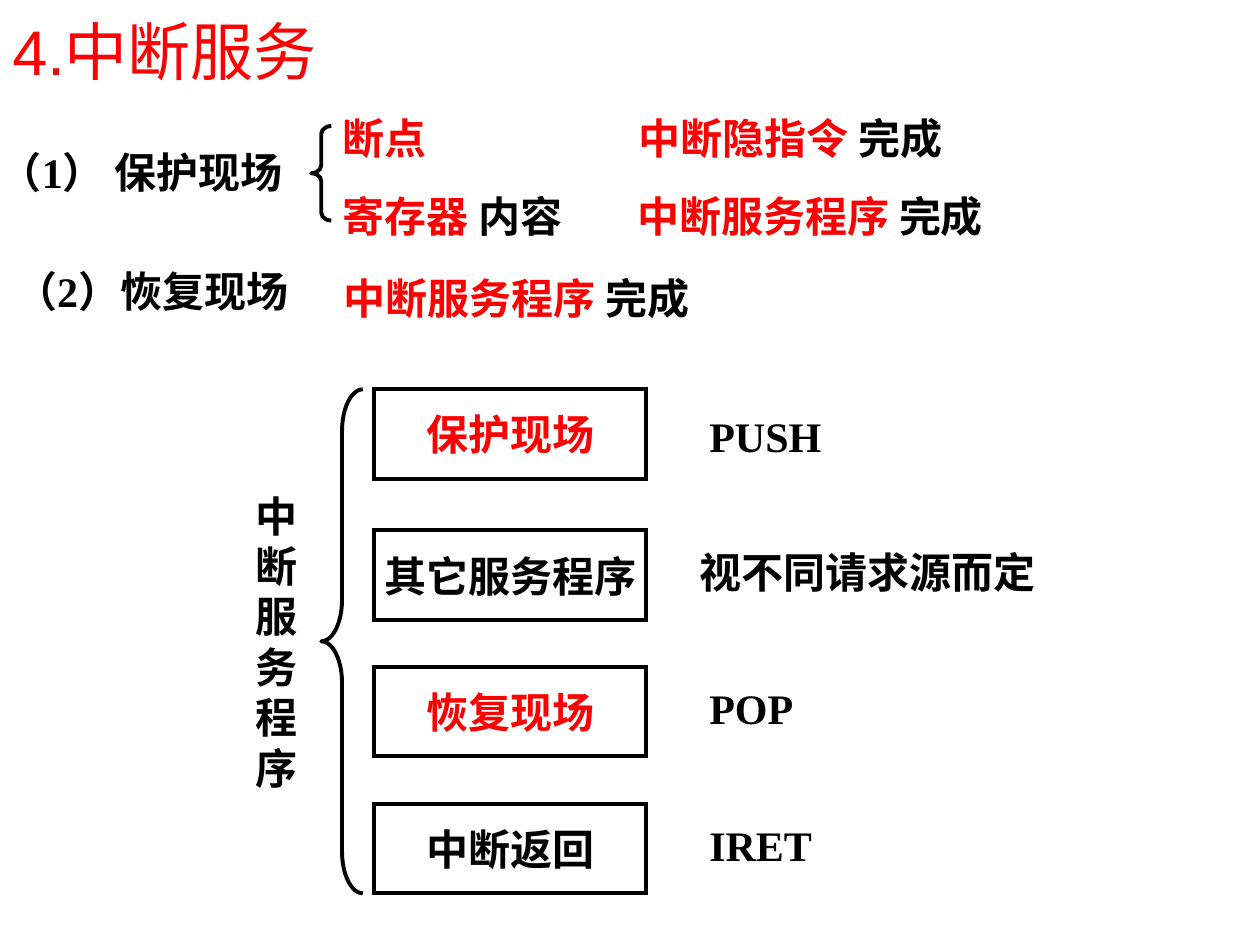
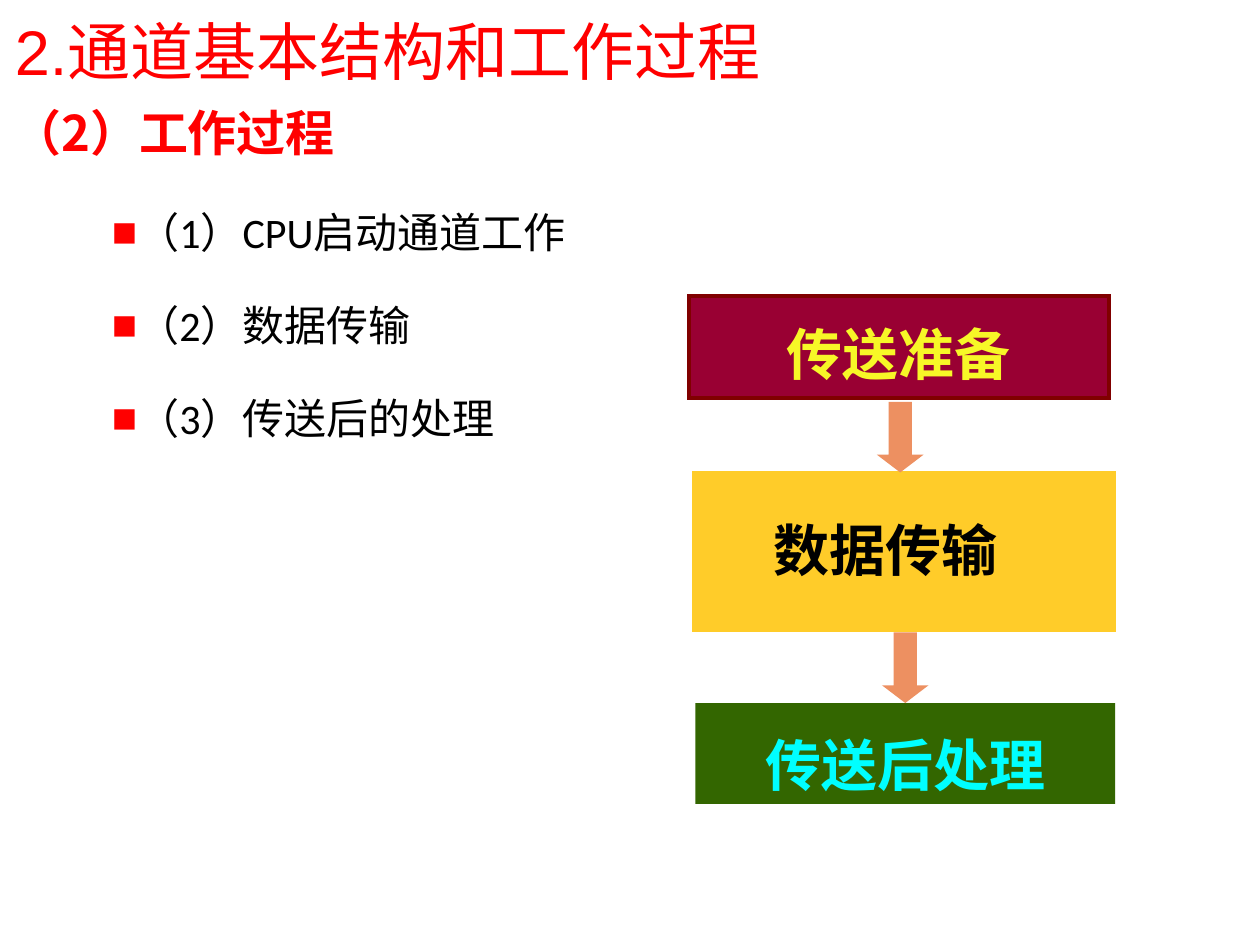
from lxml import etree
from pptx import Presentation
from pptx.dml.color import RGBColor
from pptx.enum.shapes import MSO_SHAPE as Shape
from pptx.enum.text import MSO_ANCHOR as Anchor, PP_ALIGN as Align
from pptx.oxml.ns import qn
from pptx.util import Inches, Pt

# Shared colours, fonts and insets
RED, BLACK = "FF0000", "000000"
SERIF, SANS, BODY, CJK = "Times New Roman", "Arial", "Calibri", "Noto Sans CJK SC"
DEFAULT_INSETS = (0.1, 0.05, 0.1, 0.05)
TIGHT_INSETS = (0, 0.05, 0, 0.05)


def rgb(code):
    return RGBColor.from_string(code)


def style(paragraph, size, face, bold, color=None):
    font = paragraph.font
    font.size, font.name, font.bold = Pt(size), face, bold
    if color:
        font.color.rgb = rgb(color)
    latin = paragraph._p.pPr.find(qn("a:defRPr")).find(qn("a:latin"))
    east_asian = etree.Element(qn("a:ea"), typeface=CJK)
    latin.addnext(east_asian)


def write(shape, lines, size=24, face=SERIF, bold=True, align=Align.LEFT,
          anchor=Anchor.MIDDLE, insets=TIGHT_INSETS, wrap=False,
          spacing=None, prepare=None):
    """Fill a shape; each line is a list of (words, colour) runs."""
    frame = shape.text_frame
    frame.word_wrap, frame.vertical_anchor = wrap, anchor
    (frame.margin_left, frame.margin_top,
     frame.margin_right, frame.margin_bottom) = map(Inches, insets)
    for index, line in enumerate(lines):
        paragraph = frame.add_paragraph() if index else frame.paragraphs[0]
        paragraph.alignment = align
        if spacing:
            paragraph.line_spacing = spacing
        if prepare:
            prepare(paragraph, index)
        colors = {color for _, color in line}
        style(paragraph, size, face, bold, line[0][1] if len(colors) == 1 else None)
        for words, color in line:
            run = paragraph.add_run()
            run.text = words
            if len(colors) > 1:
                run.font.color.rgb = rgb(color)


def add_text(slide, place, *runs, **options):
    box = slide.shapes.add_textbox(*map(Inches, place))
    write(box, [list(runs)], **options)


def add_title(slide, words, left):
    add_text(slide, (left, 0, 9.8, 0.8), (words, RED), size=36, face=SANS,
             bold=False, insets=DEFAULT_INSETS, wrap=True)


def add_figure(slide, kind, place, fill=None, line=None, adjustments=()):
    figure = slide.shapes.add_shape(kind, *map(Inches, place))
    figure.shadow.inherit = False
    if fill:
        figure.fill.solid()
        figure.fill.fore_color.rgb = rgb(fill)
    else:
        figure.fill.background()
    if line:
        figure.line.color.rgb = rgb(line)
        figure.line.width = Pt(2.25)
        if kind == Shape.RECTANGLE:  # square corners
            outline = figure._element.spPr.find(qn("a:ln"))
            etree.SubElement(outline, qn("a:miter"), lim="800000")
    else:
        figure.line.fill.background()
    for index, value in enumerate(adjustments):
        figure.adjustments[index] = value
    return figure


def add_brace(slide, place, curve):
    add_figure(slide, Shape.LEFT_BRACE, place, line=BLACK, adjustments=(curve, 0.5))


def square_bullet(paragraph, index):
    properties = paragraph._p.get_or_add_pPr()
    properties.set("marL", str(Inches(0.38)))
    properties.set("indent", str(Inches(0.29)))
    if index:
        paragraph.space_before = Pt(10)
    color = etree.SubElement(properties, qn("a:buClr"))
    etree.SubElement(color, qn("a:srgbClr"), val=RED)
    etree.SubElement(properties, qn("a:buFont"), typeface=SANS)
    etree.SubElement(properties, qn("a:buChar"), char="■")


def build_interrupt_service(slide):
    add_title(slide, "4.中断服务", 0)

    # Saving and restoring the context
    add_text(slide, (0, 1.07, 2.46, 0.58), ("（1） 保护现场", BLACK))
    add_text(slide, (0.12, 2.02, 2.5, 0.58), ("（2）恢复现场", BLACK))
    add_brace(slide, (2.47, 1, 0.16, 0.75), 0.39)
    add_text(slide, (2.72, 0.84, 1.08, 0.5), ("断点", RED))
    add_text(slide, (2.72, 1.42, 2.17, 0.58), ("寄存器 ", RED), ("内容", BLACK))

    # Who does each part
    done = ("完成", BLACK)
    add_text(slide, (5.07, 0.84, 3.48, 0.5), ("中断隐指令 ", RED), done)
    add_text(slide, (5.06, 1.42, 4.17, 0.58), ("中断服务程序 ", RED), done)
    add_text(slide, (2.73, 2.11, 3.23, 0.5), ("中断服务程序 ", RED), done)

    # Stages of the service routine
    routine = slide.shapes.add_textbox(*map(Inches, (1.93, 3.84, 0.54, 2.5)))
    write(routine, [[(character, BLACK)] for character in "中断服务程序"],
          anchor=Anchor.TOP, insets=DEFAULT_INSETS)
    add_brace(slide, (2.55, 3.09, 0.33, 4), 1)
    stages = [
        (3.09, "保护现场", RED, "PUSH", 5.63),
        (4.21, "其它服务程序", BLACK, "视不同请求源而定", 5.55),
        (5.29, "恢复现场", RED, "POP", 5.63),
        (6.38, "中断返回", BLACK, "IRET", 5.63),
    ]
    for index, (top, stage, color, remark, left) in enumerate(stages):
        box = add_figure(slide, Shape.RECTANGLE, (2.97, top, 2.16, 0.71), line=BLACK)
        write(box, [[(stage, color)]], align=Align.CENTER)
        add_text(slide, (left, 3.17 + 1.08 * index, 2.83, 0.58), (remark, BLACK))


def build_channel_process(slide):
    add_title(slide, "2.通道基本结构和工作过程", 0.02)
    add_text(slide, (0, 0.76, 9.43, 0.64), ("（2）工作过程", RED), size=28, face=CJK,
             insets=DEFAULT_INSETS, wrap=True, spacing=0.9)

    # Steps
    steps = slide.shapes.add_textbox(*map(Inches, (0.12, 1.39, 9.65, 5.39)))
    write(steps, [[(step, BLACK)] for step in
                  ("（1）CPU启动通道工作", "（2）数据传输", "（3）传送后的处理")],
          face=BODY, bold=False, align=Align.JUSTIFY, anchor=Anchor.TOP,
          insets=DEFAULT_INSETS, wrap=True, spacing=1.5, prepare=square_bullet)

    # Flow of a transfer: box, its outline, label place and label style
    phases = [
        ((5.47, 2.35, 3.33, 0.81), "990033", "800000",
         (5.98, 2.33, 2.3, 0.79), "传送准备", "F7F727", Align.CENTER, 0.05, 1.3),
        ((5.51, 3.75, 3.33, 1.25), "FFCC29", "FFCC29",
         (6.04, 3.7, 2.28, 0.98), "数据传输", BLACK, Align.LEFT, 0.39, None),
        ((5.52, 5.58, 3.33, 0.8), "336600", None,
         (5.87, 5.64, 2.64, 0.71), "传送后处理", "00FFFF", Align.CENTER, 0.05, 1.2),
    ]
    for place, fill, line, label_place, phase, color, align, top_inset, spacing in phases:
        add_figure(slide, Shape.RECTANGLE, place, fill, line)
        add_text(slide, label_place, (phase, color), size=32, align=align,
                 anchor=Anchor.TOP, insets=(0.1, top_inset, 0.1, 0.05),
                 wrap=True, spacing=spacing)
    for left, top in ((6.96, 3.19), (7, 5.02)):
        add_figure(slide, Shape.DOWN_ARROW, (left, top, 0.37, 0.56), "ED9061",
                   adjustments=(0.5, 0.38))


def main():
    deck = Presentation()
    deck.slide_width, deck.slide_height = Inches(10), Inches(7.5)
    blank = deck.slide_layouts[6]
    for build in (build_interrupt_service, build_channel_process):
        build(deck.slides.add_slide(blank))
    deck.save("out.pptx")


if __name__ == "__main__":
    main()
